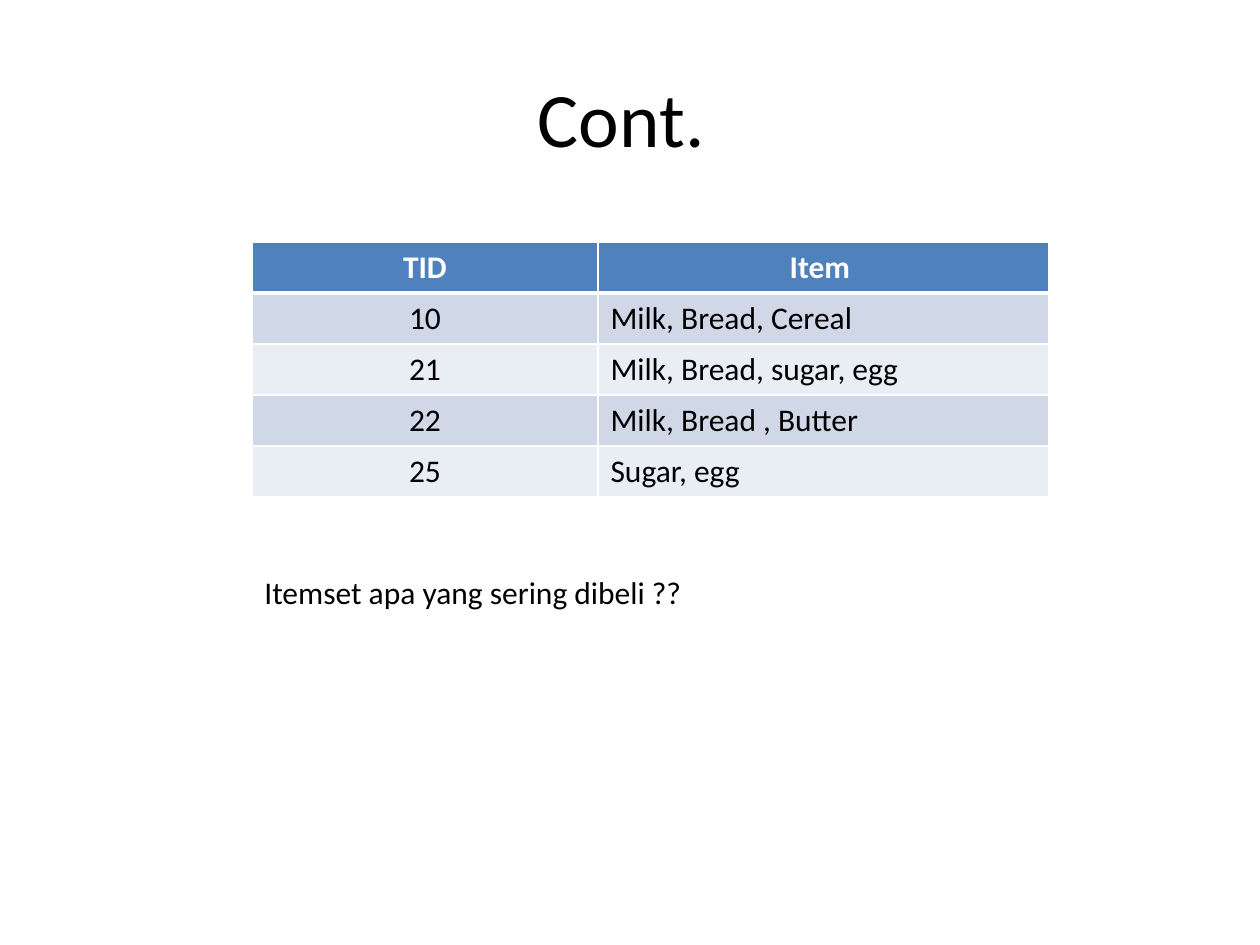
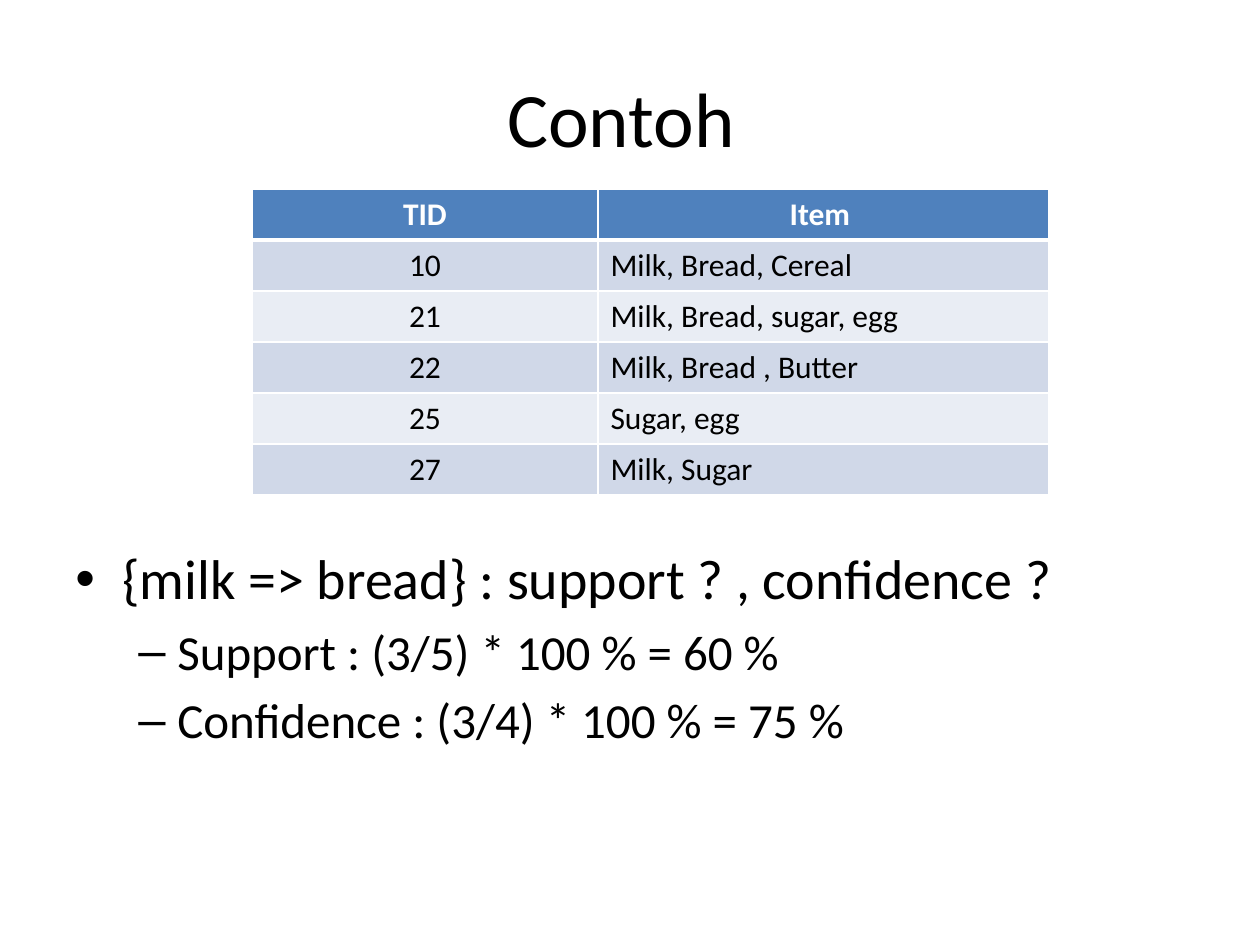
from lxml import etree
from pptx import Presentation
from pptx.dml.color import RGBColor
from pptx.enum.text import MSO_ANCHOR, PP_ALIGN
from pptx.oxml.ns import qn
from pptx.util import Pt

LEFT, CENTER = PP_ALIGN.LEFT, PP_ALIGN.CENTER
TOP, MIDDLE = MSO_ANCHOR.TOP, MSO_ANCHOR.MIDDLE

BLACK = RGBColor(0x00, 0x00, 0x00)
WHITE = RGBColor(0xFF, 0xFF, 0xFF)
BLUE = RGBColor(0x4F, 0x81, 0xBD)
BANDS = RGBColor(0xD0, 0xD8, 0xE8), RGBColor(0xE9, 0xED, 0xF4)

FONT = "Calibri"
PX = 914400 / 126
WIDE, HIGH = 1260, 945

TITLE = 63, 38, 1134, 158
BODY = 63, 220, 1134, 624
NOTE = 252, 567, 447, 50
COLS = 346, 451
ROW = 51

HEAD = "TID", "Item "
SALES = [
    ("10", "Milk, Bread, Cereal"),
    ("21", "Milk, Bread, sugar, egg"),
    ("22", "Milk, Bread , Butter"),
    ("25", "Sugar, egg"),
]
EXTRA = ("27", "Milk, Sugar")
POINTS = [
    (0, "{milk => bread} : support ? , confidence ?"),
    (1, "Support : (3/5) * 100 % = 60 %"),
    (1, "Confidence : (3/4) * 100 % = 75 %"),
]
# Per level: bullet, size in points, left margin and hanging indent in px
LEVELS = [("•", 32, 47, 47), ("–", 28, 102, 39)]


def emu(px):
    return round(px * PX)


def add_run(para, text, size, color=BLACK, bold=False, align=LEFT):
    para.alignment = align
    run = para.add_run()
    run.text = text
    font = run.font
    font.name, font.size, font.bold = FONT, Pt(size), bold
    font.color.rgb = color


def add_frame(slide, box, anchor=TOP, wrap=True):
    frame = slide.shapes.add_textbox(*map(emu, box)).text_frame
    frame.word_wrap = wrap
    frame.vertical_anchor = anchor
    return frame


def add_title(slide, text):
    frame = add_frame(slide, TITLE, MIDDLE)
    add_run(frame.paragraphs[0], text, 44, align=CENTER)


def add_note(slide, text):
    frame = add_frame(slide, NOTE, wrap=False)
    add_run(frame.paragraphs[0], text, 18)


def set_edges(cell, top, bottom):
    """Draw white cell borders, with the top and bottom widths in points."""
    props = cell._tc.get_or_add_tcPr()
    for side, width in zip("LRTB", (1, 1, top, bottom)):
        line = etree.SubElement(props, qn(f"a:ln{side}"), w=str(Pt(width)))
        fill = etree.SubElement(line, qn("a:solidFill"))
        etree.SubElement(fill, qn("a:srgbClr"), val=str(WHITE))


def add_sales(slide, top, sales):
    rows = [HEAD, *sales]
    box = 252, top, sum(COLS), ROW * len(rows)
    table = slide.shapes.add_table(len(rows), len(COLS), *map(emu, box)).table
    table.horz_banding = False
    for col, width in zip(table.columns, COLS):
        col.width = emu(width)
    for r, row in enumerate(rows):
        table.rows[r].height = emu(ROW)
        head = r == 0
        for c, text in enumerate(row):
            cell = table.cell(r, c)
            set_edges(cell, 3 if r == 1 else 1, 3 if head else 1)
            cell.fill.solid()
            cell.fill.fore_color.rgb = BLUE if head else BANDS[(r - 1) % 2]
            add_run(cell.text_frame.paragraphs[0], text, 18,
                    WHITE if head else BLACK, head,
                    CENTER if head or c == 0 else LEFT)


def add_points(slide, points):
    """Write the bulleted list in the part of the body below the table."""
    frame = add_frame(slide, BODY)
    frame.margin_top = emu(324)
    for i, (level, text) in enumerate(points):
        mark, size, left, hang = LEVELS[level]
        para = frame.add_paragraph() if i else frame.paragraphs[0]
        para.level = level
        para.space_before = Pt(size * 0.2 if i else 0)
        add_run(para, text, size)
        props = para._p.get_or_add_pPr()
        props.set("marL", str(emu(left)))
        props.set("indent", str(-emu(hang)))
        etree.SubElement(props, qn("a:buFont"), typeface="Arial")
        etree.SubElement(props, qn("a:buChar"), char=mark)


def add_question(slide):
    add_title(slide, "Cont. ")
    add_sales(slide, 242, SALES)
    add_note(slide, "Itemset apa yang sering dibeli ??")


def add_example(slide):
    add_title(slide, "Contoh ")
    add_points(slide, POINTS)
    add_sales(slide, 189, [*SALES, EXTRA])


def main():
    deck = Presentation()
    deck.slide_width, deck.slide_height = emu(WIDE), emu(HIGH)
    blank = deck.slide_layouts[6]
    for build in (add_question, add_example):
        build(deck.slides.add_slide(blank))
    deck.save("out.pptx")


if __name__ == "__main__":
    main()
